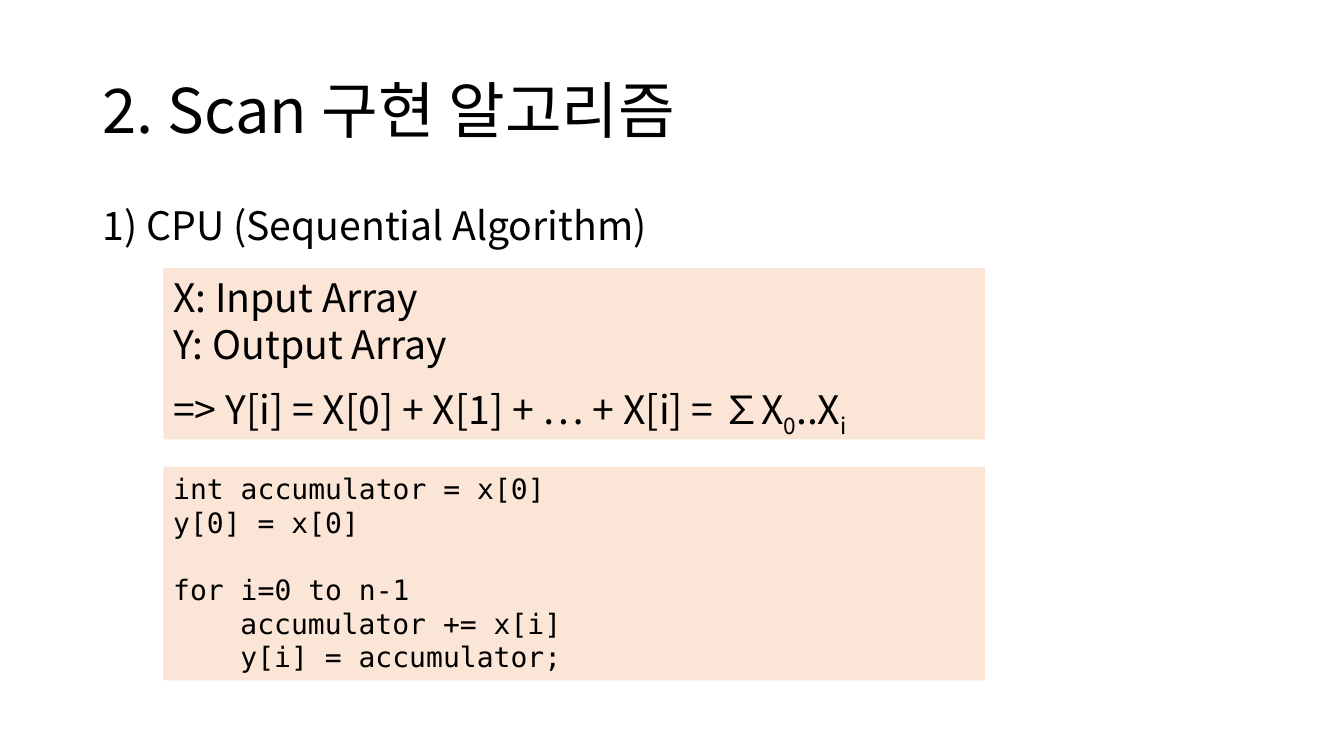
from dataclasses import dataclass

from pptx import Presentation, util as u
from pptx.dml.color import RGBColor
from pptx.enum import shapes, text
from pptx.oxml.ns import qn
from lxml import etree

SANS = "Noto Sans CJK KR"
MONO = "DejaVu Sans Mono"
CODE_INDENT = 48
PANEL_LEFT, PANEL_WIDTH = 116.64, 586.8
TEXT_LEFT, TEXT_WIDTH = 66.24, 828


@dataclass(frozen=True)
class Span:
    text: str
    subscript: bool = False


@dataclass(frozen=True)
class Line:
    spans: tuple[Span, ...]
    before: float = 0
    indent: float = 0


@dataclass(frozen=True)
class Block:
    left: float
    top: float
    width: float
    height: float
    lines: tuple[Line, ...]
    size: float
    font: str = SANS
    fill: str | None = None
    spacing: float = 1.0
    middle: bool = False


def line(words: str, before: float = 0, indent: float = 0) -> Line:
    return Line((Span(words),), before, indent)


FORMULA = Line((Span("=> Y[i] = X[0] + X[1] + … + X[i] = ∑X"), Span("0", True),
                Span("..X"), Span("i", True)), before=13)

BLOCKS = (
    Block(TEXT_LEFT, 28.8, TEXT_WIDTH, 104.4, (line("2. Scan 구현 알고리즘"),),
          size=44, spacing=0.9, middle=True),
    Block(TEXT_LEFT, 144, TEXT_WIDTH, 342.72,
          (line("1) CPU (Sequential Algorithm)", before=10),), size=28, spacing=0.9),
    Block(PANEL_LEFT, 191.52, PANEL_WIDTH, 122.4,
          (line("X: Input Array"), line("Y: Output Array"), FORMULA),
          size=28, fill="FBE5D6"),
    Block(PANEL_LEFT, 333.36, PANEL_WIDTH, 152.64,
          (line("int accumulator = x[0]"),
           line("y[0] = x[0]"),
           line("for i=0 to n-1", before=24),
           line("accumulator += x[i]", indent=CODE_INDENT),
           line("y[i] = accumulator;", indent=CODE_INDENT)),
          size=20, font=MONO, fill="FBE5D6"),
)


def color(code: str) -> RGBColor:
    return RGBColor.from_string(code)


def add_span(para, words: str, *, size: float, font: str, ink: str = "000000",
             subscript: bool = False) -> None:
    span = para.add_run()
    span.text = words
    span.font.size = u.Pt(size)
    span.font.name = font
    span.font.color.rgb = color(ink)
    properties = span.font._element
    etree.SubElement(properties, qn("a:ea")).set("typeface", font)
    if subscript:
        properties.set("baseline", "-25000")


def add_block(page, block: Block) -> None:
    place = [u.Pt(n) for n in (block.left, block.top, block.width, block.height)]
    if block.fill:
        box = page.shapes.add_shape(shapes.MSO_SHAPE.RECTANGLE, *place)
        box.shadow.inherit = False
        box.fill.solid()
        box.fill.fore_color.rgb = color(block.fill)
        box.line.fill.background()
    else:
        box = page.shapes.add_textbox(*place)
    frame = box.text_frame
    frame.word_wrap = True
    anchor = text.MSO_ANCHOR
    frame.vertical_anchor = anchor.MIDDLE if block.middle else anchor.TOP
    for index, row in enumerate(block.lines):
        para = frame.add_paragraph() if index else frame.paragraphs[0]
        para.alignment = text.PP_ALIGN.LEFT
        para.line_spacing = block.spacing
        para.space_before = u.Pt(row.before)
        if row.indent:
            para._p.get_or_add_pPr().set("marL", str(u.Pt(row.indent)))
        for span in row.spans:
            add_span(para, span.text, size=block.size, font=block.font,
                     subscript=span.subscript)


def main() -> None:
    deck = Presentation()
    deck.slide_width, deck.slide_height = u.Pt(960), u.Pt(540)
    page = deck.slides.add_slide(deck.slide_layouts[6])
    for block in BLOCKS:
        add_block(page, block)
    deck.save("out.pptx")


if __name__ == "__main__":
    main()
